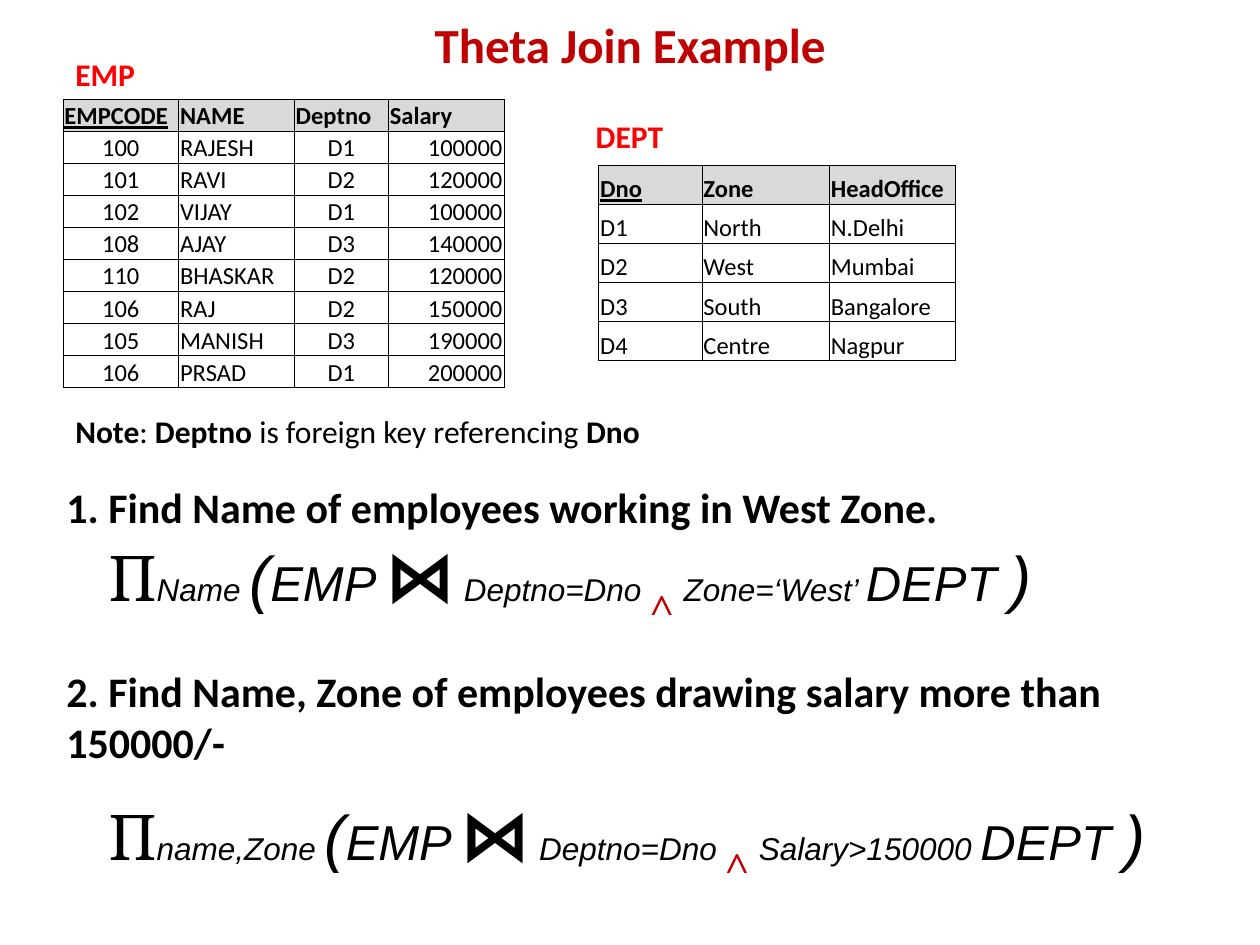
import pptx
import pptx.util
import pptx.dml.color
import pptx.enum.text
import pptx.oxml
from pptx.util import Cm

ALIGN = pptx.enum.text.PP_ALIGN
ANCHOR = pptx.enum.text.MSO_ANCHOR
BORDER = (
    '<a:{side} xmlns:a="http://schemas.openxmlformats.org/drawingml/2006/main" w="6350">'
    '<a:solidFill><a:srgbClr val="000000"/></a:solidFill></a:{side}>'
)


def style(run, size, color="000000", bold=False, italic=False, font="Calibri"):
    run.font.size = pptx.util.Pt(size)
    run.font.name = font
    run.font.bold = bold
    run.font.italic = italic
    run.font.color.rgb = pptx.dml.color.RGBColor.from_string(color)


def add_relation(shapes, rows, aligns, left, top, widths, height):
    """Add a bordered table with a grey header whose first column is the key."""
    table = shapes.add_table(len(rows), len(widths), Cm(left), Cm(top),
                             Cm(sum(widths)), Cm(height)).table
    table.first_row = table.horz_banding = False
    for column, width in zip(table.columns, widths):
        column.width = Cm(width)
    for r, row in enumerate(rows):
        for c, value in enumerate(row):
            cell = table.cell(r, c)
            cell.vertical_anchor = ANCHOR.BOTTOM
            cell.margin_left = cell.margin_right = cell.margin_top = Cm(0.03)
            cell.margin_bottom = 0
            for side in ("lnL", "lnR", "lnT", "lnB"):
                border = pptx.oxml.parse_xml(BORDER.format(side=side))
                cell._tc.get_or_add_tcPr().append(border)
            if r == 0:
                cell.fill.solid()
                cell.fill.fore_color.rgb = pptx.dml.color.RGBColor.from_string("D9D9D9")
            else:
                cell.fill.background()
            paragraph = cell.text_frame.paragraphs[0]
            paragraph.text = value
            paragraph.alignment = ALIGN.LEFT if r == 0 else aligns[c]
            style(paragraph.runs[0], 14, bold=r == 0)
            paragraph.runs[0].font.underline = r == 0 and c == 0


prs = pptx.Presentation()
prs.slide_width, prs.slide_height = Cm(25.4), Cm(19.05)
slide = prs.slides.add_slide(prs.slide_layouts[5])
shapes = slide.shapes

title = shapes.title
title.left, title.top, title.width, title.height = Cm(1.27), Cm(-0.18), Cm(22.86), Cm(2.11)
title.text_frame.text = "Theta Join Example"
title.text_frame.vertical_anchor = ANCHOR.MIDDLE
title.text_frame.paragraphs[0].alignment = ALIGN.CENTER
style(title.text_frame.paragraphs[0].runs[0], 28, "C00000", bold=True)

employees = [
    ("EMPCODE", "NAME", "Deptno", "Salary"),
    ("100", "RAJESH", "D1", "100000"),
    ("101", "RAVI", "D2", "120000"),
    ("102", "VIJAY", "D1", "100000"),
    ("108", "AJAY", "D3", "140000"),
    ("110", "BHASKAR", "D2", "120000"),
    ("106", "RAJ", "D2", "150000"),
    ("105", "MANISH", "D3", "190000"),
    ("106", "PRSAD", "D1", "200000"),
]
add_relation(shapes, employees, (ALIGN.CENTER, ALIGN.LEFT, ALIGN.CENTER, ALIGN.RIGHT),
             1.27, 2, (2.33, 2.33, 1.9, 2.33), 5.82)

departments = [
    ("Dno", "Zone", "HeadOffice"),
    ("D1", "North", "N.Delhi"),
    ("D2", "West", "Mumbai"),
    ("D3", "South", "Bangalore"),
    ("D4", "Centre", "Nagpur"),
]
add_relation(shapes, departments, (ALIGN.LEFT,) * 3, 12.07, 3.33, (2.08, 2.57, 2.54), 3.94)

# Each query: question, space before it, projected names, condition, space before the formula
queries = [
    ("1. Find Name of employees working in West Zone.", 0,
     "Name ", "Zone=‘West’ ", 0),
    ("2. Find Name, Zone of employees drawing salary more than 150000/-", 22,
     "name,Zone ", "Salary>150000 ", 13.5),
]
query_frame = shapes.add_textbox(Cm(1.09), Cm(9.58), Cm(23.29), Cm(9.02)).text_frame
query_frame.word_wrap = True
for number, (question, question_gap, names, condition, formula_gap) in enumerate(queries):
    heading = query_frame.add_paragraph() if number else query_frame.paragraphs[0]
    heading.text = question
    heading.space_before = pptx.util.Pt(question_gap)
    style(heading.runs[0], 24, bold=True)

    formula = query_frame.add_paragraph()
    formula.space_before = pptx.util.Pt(formula_gap)
    formula._p.get_or_add_pPr().set("marL", str(Cm(0.85)))
    formula._p.get_or_add_pPr().set("indent", "0")
    for text, size in (("Π", 36), (names, 18), ("(", 36), ("EMP", 28), (" ", 18),
                       ("⋈", 40), (" Deptno=Dno ", 18), ("˄ ", 40),
                       (condition, 18), ("DEPT ", 28), (")", 36)):
        run = formula.add_run()
        run.text = text
        if text == "Π":
            style(run, size, font="Cambria")
        elif text == "⋈":
            style(run, size, bold=True)
        elif text == "˄ ":
            style(run, size, "C00000", bold=True, italic=True, font="Times New Roman")
            run.font._element.set("baseline", "-25000")
        else:
            style(run, size, italic=True, font="Arial")

# Labels: left, top, width, colour, and (text, bold) pieces
labels = [
    (1.27, 0.99, 1.73, "FF0000", [("EMP", True)]),
    (11.76, 2.24, 1.88, "FF0000", [("DEPT", True)]),
    (1.27, 8.18, 11.94, "000000",
     [("Note", True), (": ", False), ("Deptno", True),
      (" is foreign key referencing ", False), ("Dno", True)]),
]
for left, top, width, color, pieces in labels:
    label_frame = shapes.add_textbox(Cm(left), Cm(top), Cm(width), Cm(1.02)).text_frame
    label_frame.word_wrap = False
    for text, bold in pieces:
        run = label_frame.paragraphs[0].add_run()
        run.text = text
        style(run, 18, color, bold)

prs.save("out.pptx")
